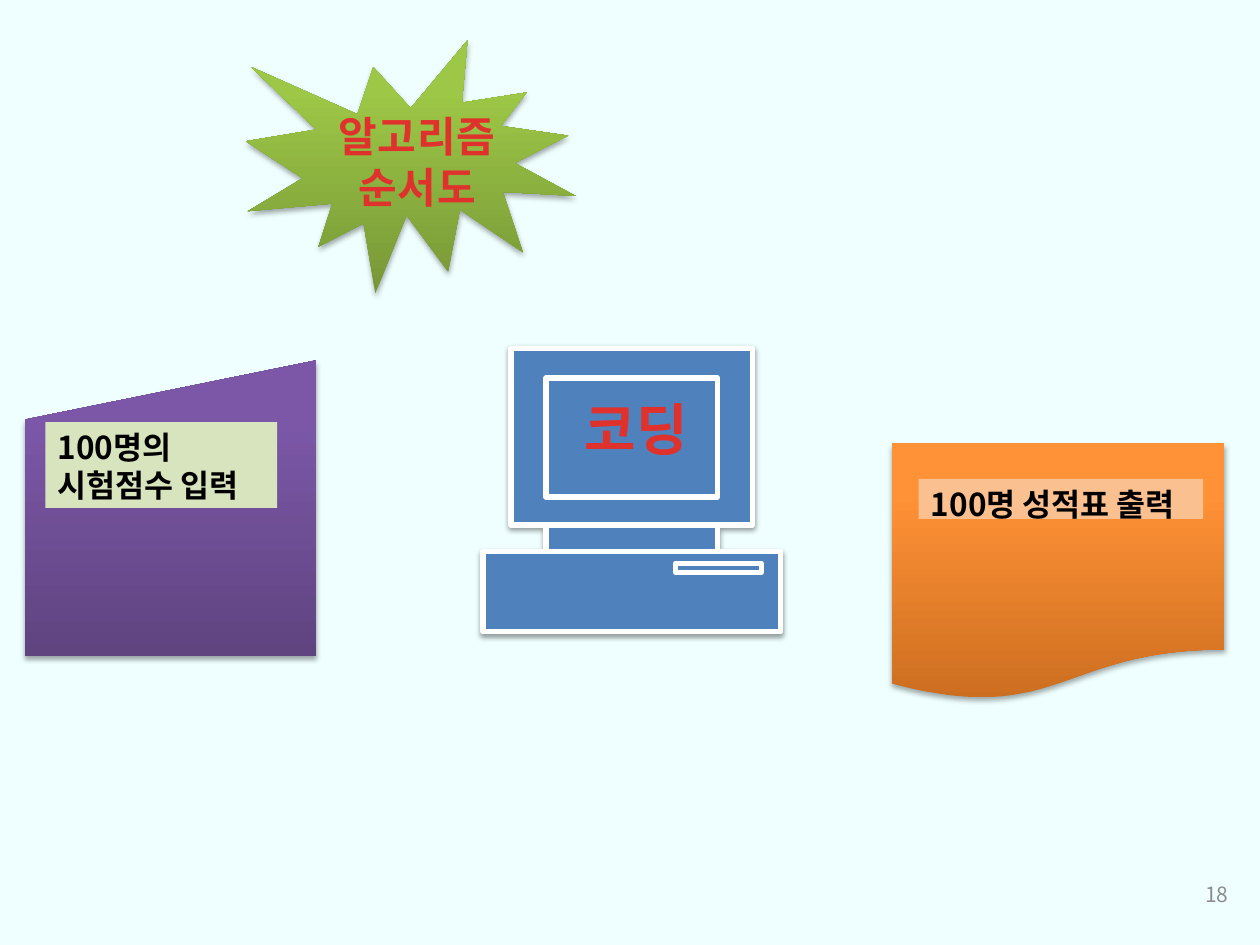
from lxml.etree import SubElement
from pptx import Presentation
from pptx.dml.color import RGBColor
from pptx.enum.shapes import MSO_SHAPE
from pptx.enum.text import MSO_ANCHOR, PP_ALIGN
from pptx.oxml import parse_xml
from pptx.oxml.ns import nsdecls, qn
from pptx.util import Pt

FONT = "Noto Sans CJK KR"
HUES = {
    "back": "EFFEFE", "blue": "4F81BD", "white": "FFFFFF", "black": "000000",
    "red": "E0322D", "gray": "8C8C8C", "mint": "D7E4BD", "peach": "FAC090",
    "plum": ("5F4480", "7C57A8"), "leaf": ("779737", "9DC746"),
    "rust": ("CC6E20", "FF9136"),
}


def rgb(name):
    return RGBColor.from_string(HUES[name])


def cast(shape, far=1.8, dark=35):
    """Drop a soft shadow straight down."""
    shape._element.spPr.append(parse_xml(
        f'<a:effectLst {nsdecls("a")}><a:outerShdw blurRad="{Pt(3.1)}" '
        f'dist="{Pt(far)}" dir="5400000" rotWithShape="0">'
        f'<a:srgbClr val="000000"><a:alpha val="{dark * 1000}"/></a:srgbClr>'
        '</a:outerShdw></a:effectLst>'))


def write(shape, text, size=18, hue="black", bold=True, align=PP_ALIGN.LEFT,
          anchor=MSO_ANCHOR.TOP, gap=0):
    frame = shape.text_frame
    frame.word_wrap = True
    frame.vertical_anchor = anchor
    frame.text = text
    for para in frame.paragraphs:
        para.alignment = align
        for run in para.runs:
            font = run.font
            font.size, font.bold, font.name = Pt(size), bold, FONT
            font.color.rgb = rgb(hue)
            props = run._r.get_or_add_rPr()
            SubElement(props, qn("a:ea")).set("typeface", FONT)
            if gap:
                props.set("spc", str(int(gap * 100)))


class Deck:
    def __init__(self, wide, high):
        self.show = Presentation()
        self.show.slide_width, self.show.slide_height = Pt(wide), Pt(high)
        self.slide = self.show.slides.add_slide(self.show.slide_layouts[6])
        self.shapes = self.slide.shapes
        fill = self.slide.background.fill
        fill.solid()
        fill.fore_color.rgb = rgb("back")

    def block(self, kind, box, hue):
        """Add a borderless preset shape in a flat colour."""
        shape = self.shapes.add_shape(kind, *map(Pt, box))
        shape.shadow.inherit = False
        shape.line.fill.background()
        shape.fill.solid()
        shape.fill.fore_color.rgb = rgb(hue)
        return shape

    def glow(self, kind, box, hue):
        """Add a preset shape shaded from dark at the foot to light."""
        shape = self.shapes.add_shape(kind, *map(Pt, box))
        shape.line.fill.background()
        shape.fill.gradient()
        shape.fill.gradient_angle = 90
        stops = shape.fill.gradient_stops
        for stop, tone, spot in zip(stops, HUES[hue], (0, 0.8)):
            stop.color.rgb = RGBColor.from_string(tone)
            stop.position = spot
        cast(shape)
        return shape

    def trace(self, dots):
        """Add a closed blue outline with a thick white edge."""
        pen = self.shapes.build_freeform(*dots[0], scale=Pt(1))
        pen.add_line_segments(dots[1:], close=True)
        shape = pen.convert_to_shape()
        shape.shadow.inherit = False
        shape.fill.solid()
        shape.fill.fore_color.rgb = rgb("blue")
        shape.line.color.rgb = rgb("white")
        shape.line.width = Pt(3)
        return shape

    def frame(self, left, top, right, foot):
        return self.trace([(left, top), (right, top), (right, foot), (left, foot)])

    def label(self, box, text, **style):
        shape = self.shapes.add_textbox(*map(Pt, box))
        write(shape, text, **style)
        return shape

    def group(self, *parts):
        self.shapes.add_group_shape(parts)


def computer(deck):
    mid = 361
    half = [(69, 198.7), (69, 300.2), (49, 300.2), (49, 314.6),
            (85.3, 314.6), (85.3, 360.7)]
    right = [(mid + x, y) for x, y in half]
    left = [(mid - x, y) for x, y in reversed(half)]
    body = deck.trace(right + left)
    body.element.spPr.remove(body.element.spPr.find(qn("a:effectLst")))
    cast(body, far=1.6, dark=38)
    neck = deck.frame(mid - 49, 300.2, mid + 49, 314.6)
    screen = deck.frame(mid - 49, 216, mid + 49, 283.7)
    slot = deck.frame(385.9, 321.8, 434.9, 326.9)
    deck.group(body, neck, screen, slot)


def main():
    deck = Deck(720, 540)
    computer(deck)

    entry = deck.glow(MSO_SHAPE.FLOWCHART_MANUAL_INPUT,
                      (14.4, 205.9, 166.3, 169.2), "plum")
    note = deck.block(MSO_SHAPE.RECTANGLE, (25.9, 241.2, 132.5, 49), "mint")
    write(note, "100명의\n시험점수 입력")
    deck.group(entry, note)

    deck.glow(MSO_SHAPE.EXPLOSION1, (140.4, 23, 188.6, 144.7), "leaf")

    sheet = deck.glow(MSO_SHAPE.FLOWCHART_DOCUMENT,
                      (509.8, 253.4, 190.1, 146.9), "rust")
    note = deck.block(MSO_SHAPE.RECTANGLE, (524.9, 273.6, 162.7, 23), "peach")
    write(note, "100명 성적표 출력")
    deck.group(sheet, note)

    head = dict(hue="red", align=PP_ALIGN.CENTER, gap=0.5)
    deck.label((282.2, 221.8, 162.7, 46), "코딩", size=32, **head)
    deck.label((157, 59.8, 162.7, 65.5), "알고리즘\n순서도", size=24, **head)
    deck.label((541.4, 496.8, 167.8, 28.8), "18", size=12, hue="gray", bold=False,
               align=PP_ALIGN.RIGHT, anchor=MSO_ANCHOR.MIDDLE)
    deck.show.save("out.pptx")


if __name__ == "__main__":
    main()
